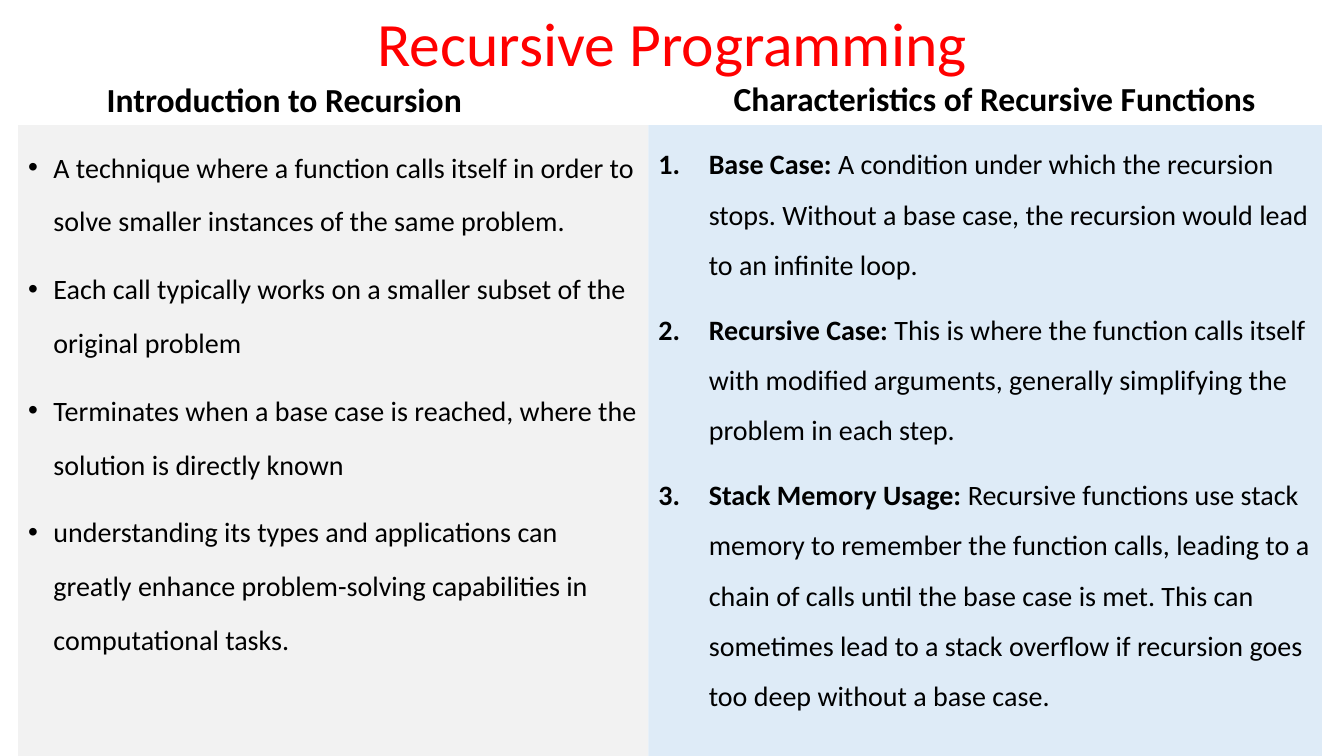
from lxml import etree
from pptx import Presentation
from pptx.dml.color import RGBColor
from pptx.enum.text import MSO_ANCHOR, MSO_AUTO_SIZE, PP_ALIGN
from pptx.oxml.ns import qn
from pptx.util import Inches, Pt

CENTER, LEFT = PP_ALIGN.CENTER, PP_ALIGN.LEFT
TOP, MIDDLE, BOTTOM = MSO_ANCHOR.TOP, MSO_ANCHOR.MIDDLE, MSO_ANCHOR.BOTTOM
COMPARISON_LAYOUT = 4
FONT = "Calibri"
COLORS = {"title": "FF0000", "text": "000000", "left": "F2F2F2", "right": "DEEBF7"}

# Each paragraph is a pair: bold lead, plain text.
TITLE = [("", "Recursive Programming")]
LEFT_HEADING = [("Introduction to Recursion", "")]
RIGHT_HEADING = [("Characteristics of Recursive Functions", "")]
INTRODUCTION = [
    ("", "A technique where a function calls itself in order to solve smaller "
         "instances of the same problem. "),
    ("", "Each call typically works on a smaller subset of the original problem"),
    ("", "Terminates when a base case is reached, where the solution is directly known"),
    ("", "understanding its types and applications can greatly enhance "
         "problem-solving capabilities in computational tasks."),
]
CHARACTERISTICS = [
    ("Base Case:", " A condition under which the recursion stops. Without a base case, "
                   "the recursion would lead to an infinite loop."),
    ("Recursive Case:", " This is where the function calls itself with modified arguments, "
                        "generally simplifying the problem in each step."),
    ("Stack Memory Usage:", " Recursive functions use stack memory to remember the function "
                            "calls, leading to a chain of calls until the base case is met. "
                            "This can sometimes lead to a stack overflow if recursion goes "
                            "too deep without a base case."),
]

SLIDE_WIDTH, SLIDE_HEIGHT = 13.33, 7.5
PANEL_LEFT, PANEL_SPLIT, PANEL_RIGHT, PANEL_TOP = 0.18, 6.43, 13.11, 1.24
PANEL_HEIGHT = SLIDE_HEIGHT - PANEL_TOP

HEADING = {"size": 24, "anchor": BOTTOM, "align": CENTER, "spacing": 0.9, "before": 10}
LISTING = {"size": 20, "anchor": TOP, "align": LEFT, "before": 10}
BULLET = ("a:buChar", {"char": "•"})
NUMBER = ("a:buAutoNum", {"type": "arabicPeriod"})

# Placeholder index: box, paragraphs, format
PARTS = {
    0: ((0.92, -0.09, 11.5, 1.1), TITLE,
        {"size": 44, "anchor": MIDDLE, "align": CENTER, "spacing": 0.9,
         "before": 0, "color": "title"}),
    1: ((0, 0.69, 5.64, 0.55), LEFT_HEADING, HEADING),
    2: ((PANEL_LEFT, PANEL_TOP, PANEL_SPLIT - PANEL_LEFT, PANEL_HEIGHT), INTRODUCTION,
        {**LISTING, "spacing": 1.6, "fill": "left", "indent": 0.25, "marker": BULLET}),
    3: ((7.03, 0.65, 5.67, 0.58), RIGHT_HEADING, HEADING),
    4: ((PANEL_SPLIT, PANEL_TOP, PANEL_RIGHT - PANEL_SPLIT, PANEL_HEIGHT), CHARACTERISTICS,
        {**LISTING, "spacing": 1.5, "fill": "right", "indent": 0.5, "marker": NUMBER}),
}


def set_marker(paragraph, indent, marker):
    """Give the paragraph a hanging indent and a bullet, number or nothing."""
    properties = paragraph._p.get_or_add_pPr()
    properties.set("marL", str(Inches(indent)))
    properties.set("indent", str(-Inches(indent)))
    tag, attributes = marker
    if tag == "a:buChar":
        etree.SubElement(properties, qn("a:buFont"), typeface="Arial")
    etree.SubElement(properties, qn(tag), attributes)


def add_run(paragraph, text, bold, style):
    run = paragraph.add_run()
    run.text = text
    font = run.font
    for name, value in {"name": FONT, "size": Pt(style["size"]), "bold": bold}.items():
        setattr(font, name, value)
    font.color.rgb = RGBColor.from_string(COLORS[style.get("color", "text")])


def fill_placeholder(shape, box, paragraphs, style):
    for name, value in zip(("left", "top", "width", "height"), box):
        setattr(shape, name, Inches(value))
    if "fill" in style:
        shape.fill.solid()
        shape.fill.fore_color.rgb = RGBColor.from_string(COLORS[style["fill"]])
    frame = shape.text_frame
    frame.word_wrap = True
    frame.auto_size = MSO_AUTO_SIZE.NONE
    frame.vertical_anchor = style["anchor"]
    for number, runs in enumerate(paragraphs):
        paragraph = frame.add_paragraph() if number else frame.paragraphs[0]
        layout = {"alignment": style["align"], "line_spacing": style["spacing"],
                  "space_before": Pt(style["before"]), "space_after": Pt(0)}
        for name, value in layout.items():
            setattr(paragraph, name, value)
        set_marker(paragraph, style.get("indent", 0), style.get("marker", ("a:buNone", {})))
        for text, bold in zip(runs, (True, False)):
            if text:
                add_run(paragraph, text, bold, style)


def main():
    presentation = Presentation()
    presentation.slide_width = Inches(SLIDE_WIDTH)
    presentation.slide_height = Inches(SLIDE_HEIGHT)
    slide = presentation.slides.add_slide(presentation.slide_layouts[COMPARISON_LAYOUT])
    for shape in slide.placeholders:
        fill_placeholder(shape, *PARTS[shape.placeholder_format.idx])
    presentation.save("out.pptx")


if __name__ == "__main__":
    main()
